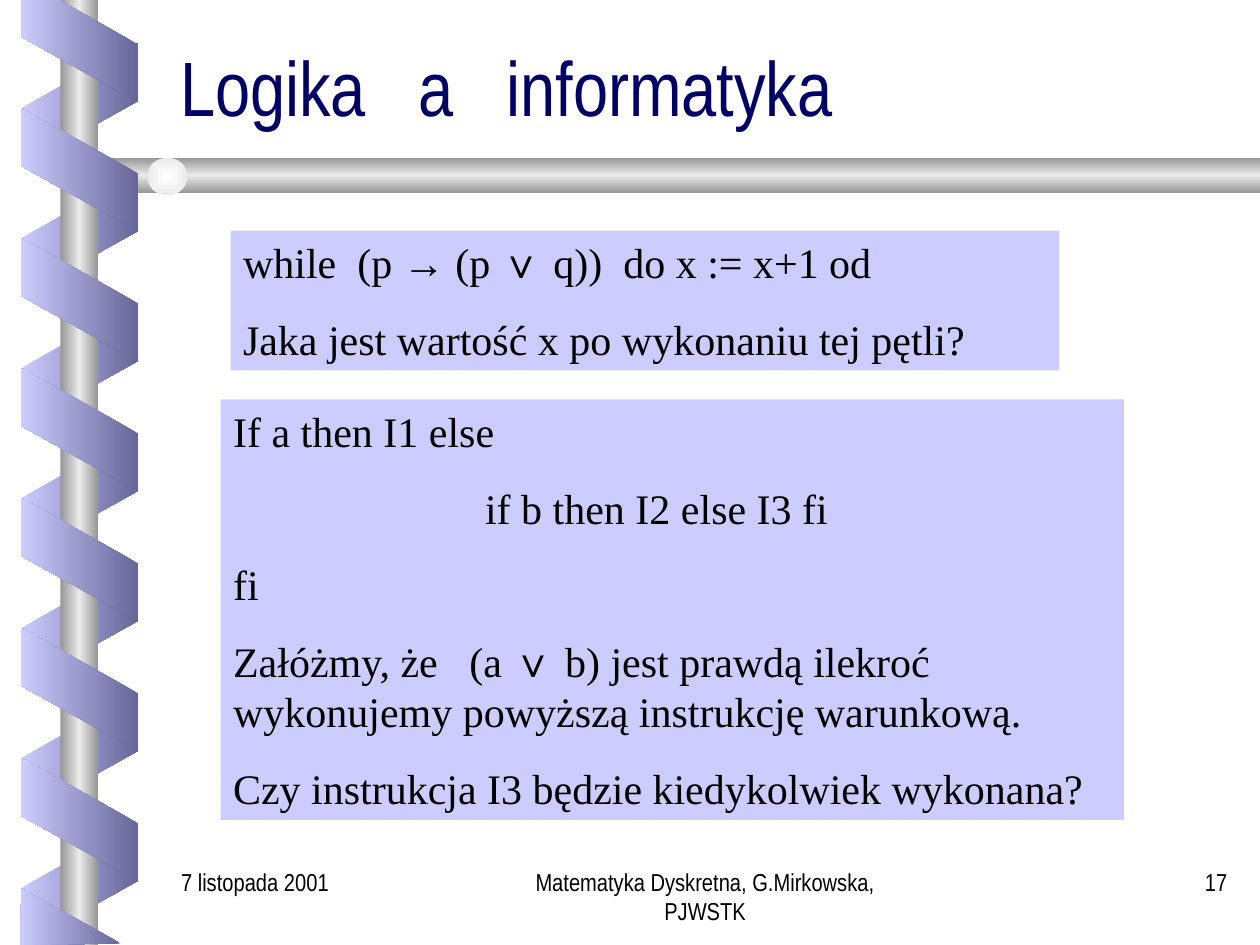
from itertools import groupby

from lxml.etree import SubElement
from pptx import Presentation
from pptx.dml.color import RGBColor
from pptx.enum.shapes import MSO_SHAPE as Shape
from pptx.enum.text import MSO_ANCHOR as Anchor, PP_ALIGN as Align
from pptx.oxml import parse_xml
from pptx.oxml.ns import nsdecls, qn
from pptx.util import Cm, Pt

NAVY = RGBColor(0x00, 0x00, 0x66)
BLACK = RGBColor(0x00, 0x00, 0x00)
LILAC = RGBColor(0xCC, 0xCC, 0xFF)
PURPLE = RGBColor(0x66, 0x66, 0x99)
GREY = RGBColor(0x96, 0x96, 0x96)
SILVER = RGBColor(0xEA, 0xEA, 0xEA)
PEARL = RGBColor(0xFE, 0xFF, 0xFF)

HEADING_FONT = "Arial Narrow"
BODY_FONT = "Times New Roman"
SYMBOL_FONT = "Arial"
SYMBOLS = "→∨"

LINEAR = '<a:lin ang="{}" scaled="0"/>'
RADIAL = ('<a:path path="rect"><a:fillToRect l="50000" t="50000" '
          'r="50000" b="50000"/></a:path>')
ACROSS = LINEAR.format(180 * 60000)
DOWN = LINEAR.format(90 * 60000)
METAL = (GREY, SILVER, GREY)

LOOP_STEP = 2.62
BACK_LOOPS, BACK_TOP = 7, 0.93
FRONT_LOOPS, FRONT_TOP = 6, 2.24


def paint_gradient(shape, colors, direction):
    shape.shadow.inherit = False
    shape.line.fill.background()
    shape.fill.background()
    last = len(colors) - 1
    stops = "".join(
        f'<a:gs pos="{100000 * index // last}"><a:srgbClr val="{color}"/></a:gs>'
        for index, color in enumerate(colors))
    gradient = parse_xml(
        f'<a:gradFill {nsdecls("a")} rotWithShape="0">'
        f"<a:gsLst>{stops}</a:gsLst>{direction}</a:gradFill>")
    properties = shape.element.spPr
    properties.replace(properties.find(qn("a:noFill")), gradient)


def add_solid(page, kind, left, top, width, height, colors, direction):
    shape = page.shapes.add_shape(kind, Cm(left), Cm(top), Cm(width), Cm(height))
    paint_gradient(shape, colors, direction)
    return shape


def add_outline(page, points, colors, direction):
    corners = [(Cm(x), Cm(y)) for x, y in points]
    builder = page.shapes.build_freeform(*corners[0])
    builder.add_line_segments(corners[1:], close=True)
    paint_gradient(builder.convert_to_shape(), colors, direction)


def add_loops(page, count, first_top, rotation, colors, flipped=False):
    for index in range(count):
        loop = add_solid(page, Shape.PARALLELOGRAM, 0.36,
                         first_top + index * LOOP_STEP, 2.49, 2.36, colors, ACROSS)
        loop.adjustments[0] = 0.56
        loop.rotation = rotation
        if flipped:
            loop.element.spPr.xfrm.set("flipH", "1")


def add_spiral(page):
    add_loops(page, BACK_LOOPS, BACK_TOP, 90, (LILAC, PURPLE), flipped=True)
    add_solid(page, Shape.RECTANGLE, 1.22, 0, 0.76, 19.05, METAL, ACROSS)
    add_outline(page, [(25.4, 3.18), (1.93, 3.18), (1.52, 3.53), (1.93, 3.89),
                       (25.4, 3.89)], METAL, DOWN)
    add_solid(page, Shape.OVAL, 2.97, 3.18, 0.81, 0.76, (PEARL, SILVER), RADIAL)
    front = (PURPLE, LILAC)
    add_loops(page, FRONT_LOOPS, FRONT_TOP, 270, front)
    add_outline(page, [(0.43, 0), (0.43, 0.74), (2.77, 2.06), (2.77, 0.89),
                       (1.19, 0)], front, ACROSS)
    add_outline(page, [(2.44, 19.02), (0.43, 17.91), (0.41, 19.05)], front, ACROSS)


def format_span(span, font, size, color):
    span.font.name = font
    span.font.size = Pt(size)
    span.font.color.rgb = color


def add_label(page, left, top, width, height, text, size=14, color=BLACK,
              align=Align.LEFT):
    box = page.shapes.add_textbox(Cm(left), Cm(top), Cm(width), Cm(height))
    frame = box.text_frame
    frame.word_wrap = True
    frame.text = text
    para = frame.paragraphs[0]
    para.alignment = align
    format_span(para.runs[0], HEADING_FONT, size, color)
    return frame


def add_title(page, text):
    frame = add_label(page, 3.38, 1.17, 21.59, 1.6, text, 44, NAVY)
    frame.vertical_anchor = Anchor.BOTTOM
    frame.paragraphs[0].line_spacing = 0.8


def add_inch_tabs(para):
    tabs = SubElement(para._p.get_or_add_pPr(), qn("a:tabLst"))
    for inch in range(1, 8):
        SubElement(tabs, qn("a:tab"), pos=str(Cm(2.54 * inch)), algn="l")


def add_panel(page, left, top, width, height, lines):
    panel = page.shapes.add_shape(Shape.RECTANGLE, Cm(left), Cm(top),
                                  Cm(width), Cm(height))
    panel.shadow.inherit = False
    panel.fill.solid()
    panel.fill.fore_color.rgb = LILAC
    panel.line.fill.background()
    frame = panel.text_frame
    frame.word_wrap = True
    frame.vertical_anchor = Anchor.TOP
    for index, line in enumerate(lines):
        para = frame.add_paragraph() if index else frame.paragraphs[0]
        para.alignment = Align.LEFT
        if index:
            para.space_before = Pt(15)
        add_inch_tabs(para)
        for is_symbol, letters in groupby(line, lambda letter: letter in SYMBOLS):
            span = para.add_run()
            span.text = "".join(letters)
            format_span(span, SYMBOL_FONT if is_symbol else BODY_FONT, 24, BLACK)


def main():
    deck = Presentation()
    deck.slide_width, deck.slide_height = Cm(25.4), Cm(19.05)
    page = deck.slides.add_slide(deck.slide_layouts[6])

    add_spiral(page)
    add_title(page, "Logika   a   informatyka")
    add_panel(page, 4.65, 4.65, 16.71, 2.82, [
        "while  (p → (p ∨ q))  do x := x+1 od",
        "Jaka jest wartość x po wykonaniu tej pętli?",
    ])
    add_panel(page, 4.45, 8.05, 18.21, 8.48, [
        "If a then I1 else",
        "\t\tif b then I2 else I3 fi",
        "fi",
        "Załóżmy, że   (a ∨ b) jest prawdą ilekroć "
        "wykonujemy powyższą instrukcję warunkową.",
        "Czy instrukcja I3 będzie kiedykolwiek wykonana?",
    ])
    add_label(page, 10.19, 17.35, 8.05, 1.27,
              "Matematyka Dyskretna, G.Mirkowska, PJWSTK", align=Align.CENTER)
    add_label(page, 19.71, 17.35, 5.28, 1.27, "17", align=Align.RIGHT)
    add_label(page, 3.4, 17.35, 5.28, 1.27, "7 listopada 2001")

    deck.save("out.pptx")


if __name__ == "__main__":
    main()
